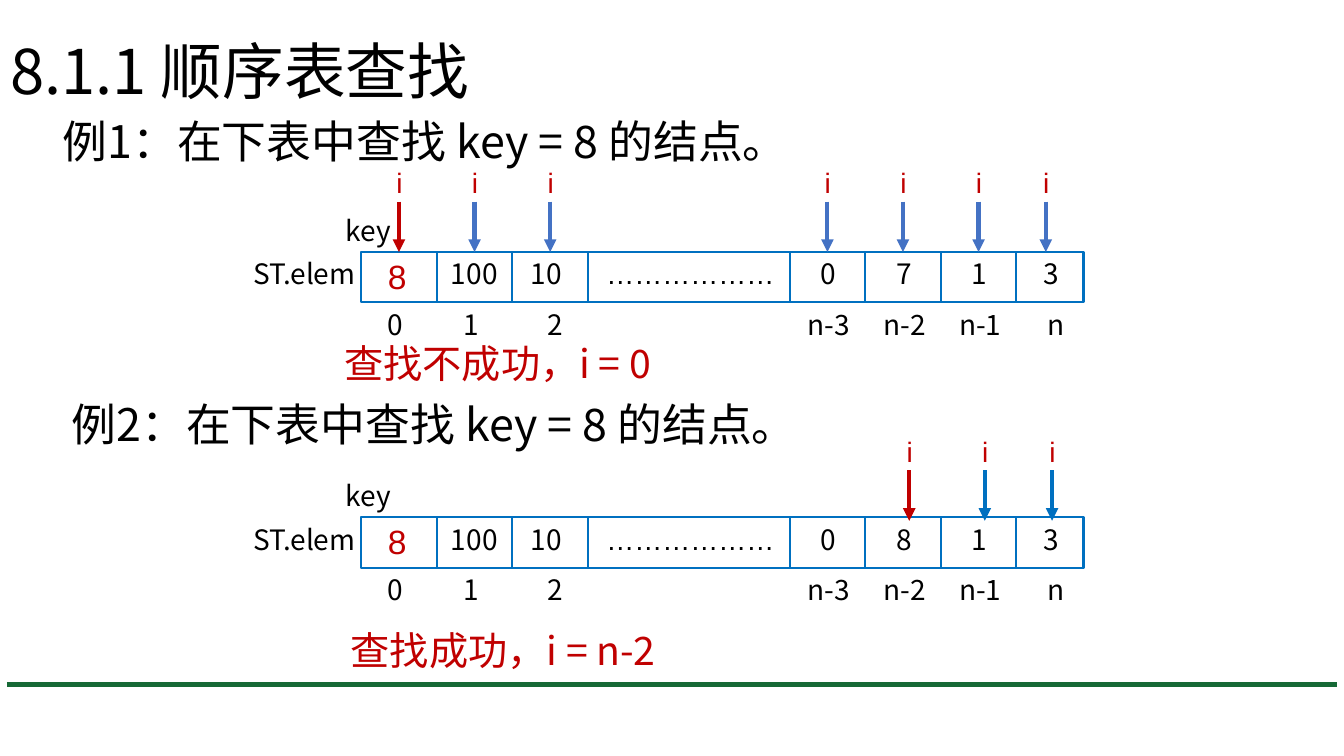
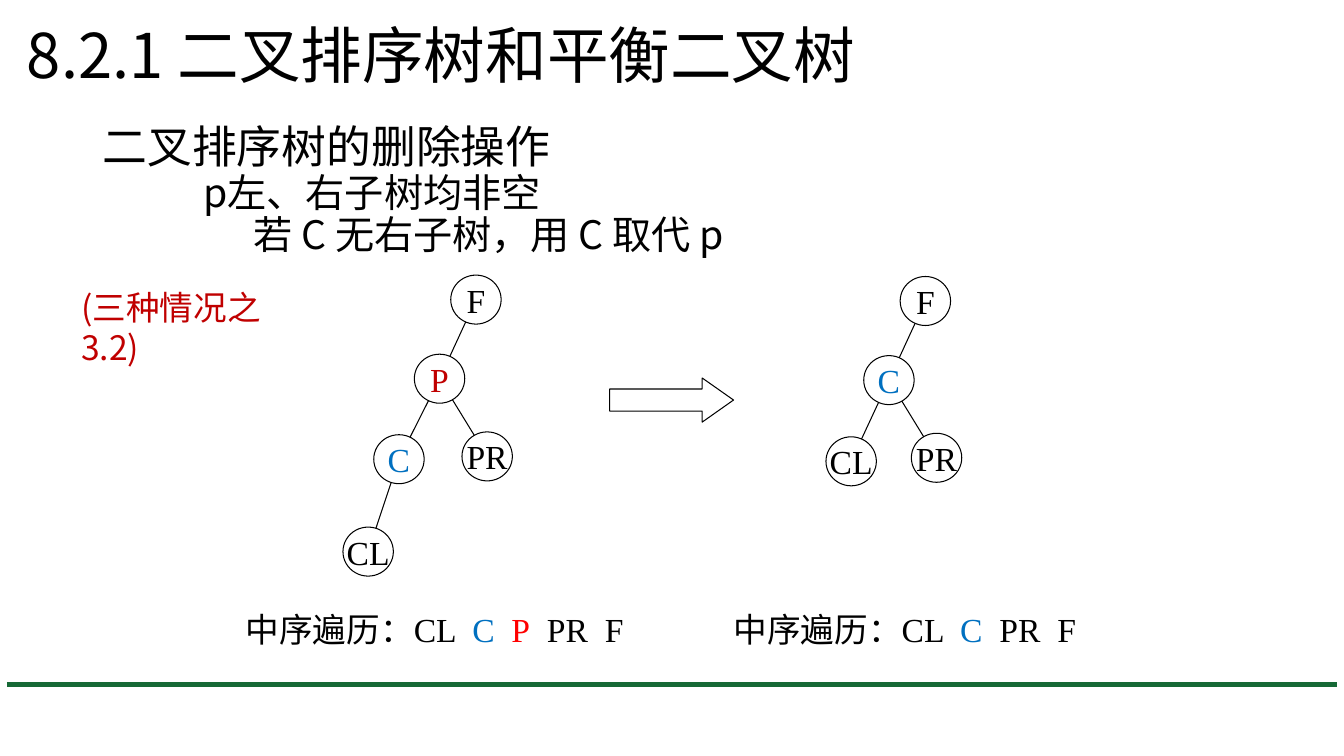
import math

import pptx
import pptx.dml.color
import pptx.enum.shapes
import pptx.enum.text
import pptx.oxml
import pptx.oxml.ns
import pptx.util
from lxml import etree

Pt = pptx.util.Pt
ALIGN = pptx.enum.text.PP_ALIGN
ANCHOR = pptx.enum.text.MSO_ANCHOR
SHAPE = pptx.enum.shapes.MSO_SHAPE
qn = pptx.oxml.ns.qn

COLORS = {
    "text": "000000",
    "rule": "166936",
    "cell": "0070C0",
    "pointer": "4472C4",
    "accent": "C00000",
    "moved": "0070C0",
    "deleted": "FF0000",
}
SANS, ARIAL, SERIF = "Noto Sans CJK SC", "Arial", "Times New Roman"

# Sequential list: width, index, then offsets of value, index and pointer in the cell
CELLS = [
    (54, "0", 12, 12, 27),
    (54, "1", 3, 12, 27),
    (54, "2", 6, 18, 27),
    (144, None, 6, 0, 0),
    (54, "n-3", 15, 6, 27),
    (54, "n-2", 15, 6, 27),
    (54, "n-1", 15, 6, 27),
    (48, "n", 12, 15, 21),
]
ROW_LEFT, ROW_HEIGHT = 258, 36
NODE_WIDTH, NODE_HEIGHT = 36, 35


def rgb(name):
    return pptx.dml.color.RGBColor.from_string(COLORS[name])


# Text
def style(paragraph, size, color="text", font=SANS):
    paragraph.space_before = Pt(0)
    paragraph.font.size = Pt(size)
    paragraph.font.name = font
    paragraph.font.color.rgb = rgb(color)
    defaults = paragraph._p.pPr.find(qn("a:defRPr"))
    etree.SubElement(defaults, qn("a:ea")).set("typeface", SANS)


def add_text(slide, x, y, width, text, size=20, color="text", font=SANS, height=36):
    frame = slide.shapes.add_textbox(Pt(x), Pt(y), Pt(width), Pt(height)).text_frame
    frame.word_wrap = True
    frame.text = text
    style(frame.paragraphs[0], size, color, font)
    return frame


def place(holder, x, y, width, height):
    holder.left, holder.top = Pt(x), Pt(y)
    holder.width, holder.height = Pt(width), Pt(height)
    holder.text_frame.auto_size = pptx.enum.text.MSO_AUTO_SIZE.NONE


def add_titled_slide(deck, title, x, y):
    slide = deck.slides.add_slide(deck.slide_layouts[1])
    place(slide.shapes.title, x, y, 828, 104)
    frame = slide.shapes.title.text_frame
    frame.text = title
    frame.vertical_anchor = ANCHOR.MIDDLE
    heading = frame.paragraphs[0]
    heading.alignment = ALIGN.LEFT
    heading.line_spacing = 0.9
    style(heading, 44)
    return slide


def fill_body(slide, box, items):
    """Each item is text, size, level and left indent."""
    body = slide.placeholders[1]
    place(body, *box)
    frame = body.text_frame
    frame.text = "\n".join(item[0] for item in items)
    for paragraph, (_, size, level, indent) in zip(frame.paragraphs, items):
        paragraph.level = level
        paragraph.line_spacing = 0.9
        properties = paragraph._p.get_or_add_pPr()
        properties.set("marL", str(Pt(indent)))
        properties.set("indent", "0")
        etree.SubElement(properties, qn("a:buNone"))
        style(paragraph, size)


# Lines and shapes
def add_line(slide, start, end, color="text", width=0.75, arrow=False):
    line = slide.shapes.add_connector(
        pptx.enum.shapes.MSO_CONNECTOR.STRAIGHT,
        *(Pt(value) for value in (*start, *end)))
    line.line.color.rgb = rgb(color)
    line.line.width = Pt(width)
    if arrow:
        outline = line.line._get_or_add_ln()
        etree.SubElement(outline, qn("a:tailEnd")).set("type", "triangle")
    etree.SubElement(line.element.spPr, qn("a:effectLst"))
    return line


def add_outline(slide, kind, x, y, width, height, color="text", weight=0.75):
    shape = slide.shapes.add_shape(kind, Pt(x), Pt(y), Pt(width), Pt(height))
    shape.shadow.inherit = False
    shape.fill.background()
    shape.line.color.rgb = rgb(color)
    shape.line.width = Pt(weight)
    return shape


def add_layout_rule(slide):
    """Move the green rule to the layout that all slides share."""
    rule = add_line(slide, (5, 489), (955, 489), "rule", 3.75)
    slide.slide_layout.shapes.element.append(rule.element)


# Sequential search
def add_pointer(slide, x, tip, color):
    add_text(slide, x - 9, tip - 65.5, 24, "i", color="accent", font=ARIAL)
    add_line(slide, (x, tip - 36), (x, tip), color, 3, arrow=True)


def add_search_row(slide, top, values, visited, found, color, shift=(0, 0)):
    """Draw the list, with a pointer over each visited index."""
    total = sum(cell[0] for cell in CELLS)
    add_outline(slide, SHAPE.RECTANGLE, ROW_LEFT, top, total, ROW_HEIGHT, "cell", 1.5)
    add_text(slide, 174, top, 90, "ST.elem")
    add_text(slide, 240, top - 31, 48, "key")
    # The sentinel in cell 0
    add_text(slide, ROW_LEFT + CELLS[0][2], top - 1, 32, "8", 24, "accent", ARIAL)
    x = ROW_LEFT
    for position, (width, index, value_dx, index_dx, pointer_dx) in enumerate(CELLS):
        if position:
            add_line(slide, (x, top), (x, top + ROW_HEIGHT), "cell", 1.5)
            font = SANS if index else ARIAL
            add_text(slide, x + value_dx, top, width, values[position - 1], font=font)
        if index:
            add_text(slide, x + index_dx, top + ROW_HEIGHT, 50, index)
        if index in visited:
            add_pointer(slide, x + pointer_dx + shift[0], top + shift[1],
                        "accent" if index == found else color)
        x += width


# Binary search tree
def add_tree(slide, nodes, edges):
    """Nodes map a label to left, top and colour; edges join parent and child."""
    radius = NODE_HEIGHT / 2
    for label, (x, y, color) in nodes.items():
        frame = add_outline(slide, SHAPE.OVAL, x, y, NODE_WIDTH, NODE_HEIGHT).text_frame
        frame.word_wrap = False
        frame.vertical_anchor = ANCHOR.MIDDLE
        frame.text = label
        frame.paragraphs[0].alignment = ALIGN.CENTER
        style(frame.paragraphs[0], 24, color, SERIF)
    for parent, child in edges:
        (px, py), (cx, cy) = (
            (nodes[label][0] + NODE_WIDTH / 2, nodes[label][1] + NODE_HEIGHT / 2)
            for label in (parent, child))
        reach = radius / math.dist((px, py), (cx, cy))
        dx, dy = (cx - px) * reach, (cy - py) * reach
        add_line(slide, (px + dx, py + dy), (cx - dx, cy - dy))


def add_traversal(slide, x, width, parts):
    frame = add_text(slide, x, 428, width, "", 24, font=SERIF, height=42)
    frame.vertical_anchor = ANCHOR.MIDDLE
    for text, color in parts:
        run = frame.paragraphs[0].add_run()
        run.text = text
        run.font.color.rgb = rgb(color)


def build_search_slide(deck):
    slide = add_titled_slide(deck, "8.1.1 顺序表查找", 0, 1)
    add_layout_rule(slide)
    fill_body(slide, (37.5, 82, 828, 343),
              [("例1：在下表中查找 key = 8 的结点。", 32, 0, 0)])
    dots = "………………"
    add_search_row(slide, 180, ["100", "10", dots, "0", "7", "1", "3"],
                   ["0", "1", "2", "n-3", "n-2", "n-1", "n"], "0", "pointer")
    add_text(slide, 239, 238.5, 287, "查找不成功，i = 0", 28, "accent")
    add_text(slide, 44, 280, 595, "例2：在下表中查找 key = 8 的结点。", 32)
    add_search_row(slide, 369.5, ["100", "10", dots, "0", "8", "1", "3"],
                   ["n-2", "n-1", "n"], "n-2", "cell", shift=(4.5, 2.5))
    add_text(slide, 243.5, 443.5, 299, "查找成功，i = n-2", 28, "accent")


def build_tree_slide(deck):
    slide = add_titled_slide(deck, "8.2.1 二叉排序树和平衡二叉树", 12, -10)
    fill_body(slide, (66, 85.5, 828, 109.5), [
        ("二叉排序树的删除操作", 32, 0, 0),
        ("p左、右子树均非空", 28, 1, 72),
        ("若 C 无右子树，用 C 取代 p", 28, 2, 108),
    ])
    add_text(slide, 51, 201.5, 180, "(三种情况之3.2)", 24, "accent", height=66)

    # Before and after deletion
    add_tree(slide, {
        "F": (322, 196.5, "text"),
        "P": (296, 253, "accent"),
        "C": (267, 310.5, "moved"),
        "PR": (330, 308.5, "text"),
        "CL": (245, 376.5, "text"),
    }, [("F", "P"), ("P", "C"), ("P", "PR"), ("C", "CL")])
    becomes = add_outline(slide, SHAPE.RIGHT_ARROW, 435.5, 270, 88.5, 31.5)
    becomes.adjustments[1] = 0.71
    add_tree(slide, {
        "F": (643, 197.5, "text"),
        "C": (617, 254, "moved"),
        "PR": (651, 309.5, "text"),
        "CL": (590, 312, "text"),
    }, [("F", "C"), ("C", "CL"), ("C", "PR")])

    # In-order traversals
    add_traversal(slide, 168.5, 300, [
        ("中序遍历：CL  ", "text"), ("C  ", "moved"), ("P", "deleted"),
        ("  PR  F", "text")])
    add_traversal(slide, 517, 275, [
        ("中序遍历：CL  ", "text"), ("C", "moved"), ("  PR  F", "text")])


def main():
    deck = pptx.Presentation()
    deck.slide_width, deck.slide_height = Pt(960), Pt(540)
    build_search_slide(deck)
    build_tree_slide(deck)
    deck.save("out.pptx")


if __name__ == "__main__":
    main()
